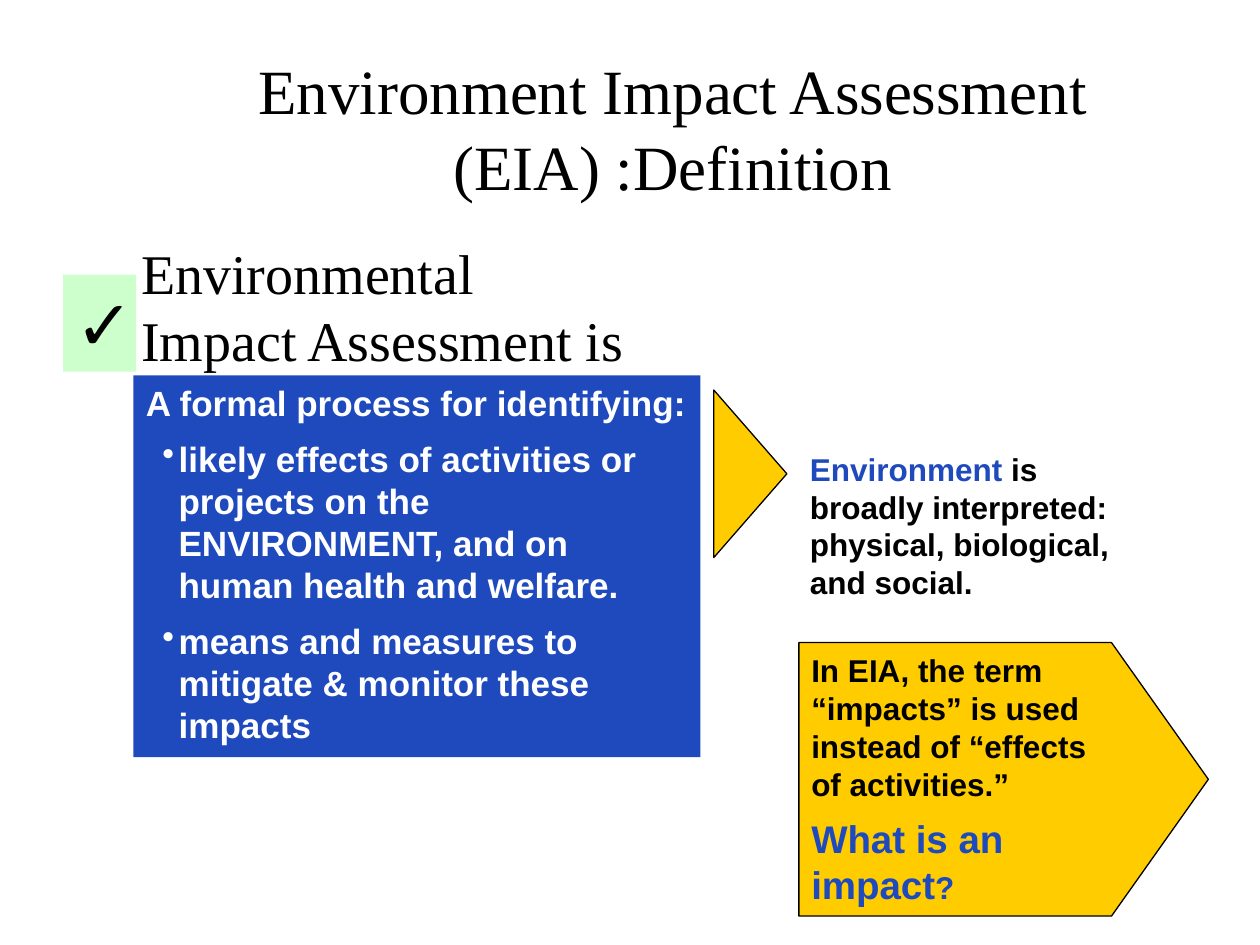
from dataclasses import dataclass

from lxml import etree
from pptx import Presentation
from pptx import util as u
from pptx.dml.color import RGBColor
from pptx.enum import shapes, text
from pptx.oxml.ns import qn


@dataclass(frozen=True)
class Theme:
    serif: str = "Times New Roman"
    sans: str = "Arial"
    symbol: str = "DejaVu Sans"
    black: str = "000000"
    white: str = "FFFFFF"
    blue: str = "1E4ABD"
    gold: str = "FFCC00"
    green: str = "CCFFCC"
    title: int = 36
    lead: int = 32
    check: int = 40
    question: int = 22
    panel: int = 20
    note: int = 18
    gap: float = 0.4  # space after a paragraph, as a share of its type size


class SlideBuilder:
    def __init__(self, page, theme):
        self.page = page
        self.theme = theme

    def place(self, box, at):
        box.left, box.top, box.width, box.height = map(u.Inches, at)

    def span(self, para, words, size, color, font=None, bold=True):
        span = para.add_run()
        span.text = words
        span.font.name = font or self.theme.sans
        span.font.size = u.Pt(size)
        span.font.bold = bold
        span.font.color.rgb = RGBColor.from_string(color)

    def indent(self, para, left, first, bullet=None):
        props = para._p.get_or_add_pPr()
        props.set("marL", str(u.Inches(left)))
        props.set("indent", str(u.Inches(first)))
        if bullet:
            etree.SubElement(props, qn("a:buChar")).set("char", bullet)
        else:
            etree.SubElement(props, qn("a:buNone"))

    def paragraph(self, box, *spans, first=False, bullet=None):
        """Each span is (words, size, color)."""
        frame = box.text_frame
        para = frame.paragraphs[0] if first else frame.add_paragraph()
        para.alignment = text.PP_ALIGN.LEFT
        para.space_after = u.Pt(spans[0][1] * self.theme.gap)
        if bullet:
            para.level = 1
            self.indent(para, 0.26, -0.13, bullet)
        for words, size, color in spans:
            self.span(para, words, size, color)

    def placeholder(self, box, at, anchor):
        self.place(box, at)
        frame = box.text_frame
        frame.word_wrap = True
        frame.auto_size = text.MSO_AUTO_SIZE.NONE
        frame.vertical_anchor = anchor
        para = frame.paragraphs[0]
        para.space_before = u.Pt(0)
        return para

    def shape(self, kind, at, fill, outlined=False):
        box = self.page.shapes.add_shape(kind, *map(u.Inches, at))
        box.shadow.inherit = False
        box.fill.solid()
        box.fill.fore_color.rgb = RGBColor.from_string(fill)
        if outlined:
            box.line.color.rgb = RGBColor.from_string(self.theme.black)
            box.line.width = u.Pt(0.75)
        else:
            box.line.fill.background()
        box.text_frame.word_wrap = True
        box.text_frame.vertical_anchor = text.MSO_ANCHOR.TOP
        return box

    def arrow(self, at, shaft, head):
        """A down arrow turned to point right."""
        box = self.shape(shapes.MSO_SHAPE.DOWN_ARROW, at, self.theme.gold, True)
        box.rotation = 270
        box.adjustments[0], box.adjustments[1] = shaft, head
        return box

    def textbox(self, at):
        box = self.page.shapes.add_textbox(*map(u.Inches, at))
        box.text_frame.word_wrap = True
        box.text_frame.vertical_anchor = text.MSO_ANCHOR.MIDDLE
        return box


def main():
    deck = Presentation()
    deck.slide_width, deck.slide_height = u.Inches(10), u.Inches(7.5)
    page = deck.slides.add_slide(deck.slide_layouts[1])
    theme = Theme()
    build = SlideBuilder(page, theme)

    # Title
    para = build.placeholder(page.shapes.title, (1.09, 0.23, 8.5, 1.56),
                             text.MSO_ANCHOR.MIDDLE)
    para.alignment = text.PP_ALIGN.CENTER
    build.span(para, "Environment Impact Assessment (EIA) :Definition",
               theme.title, theme.black, theme.serif, False)

    # Lead-in
    para = build.placeholder(page.placeholders[1], (0.64, 1.84, 5.33, 0.67),
                             text.MSO_ANCHOR.TOP)
    build.indent(para, 0.38, 0)
    for number, line in enumerate(("Environmental", "Impact Assessment is")):
        if number:
            para.add_line_break()
        build.span(para, line, theme.lead, theme.black, theme.serif, False)

    # Definition panel
    panel = build.shape(shapes.MSO_SHAPE.RECTANGLE, (1.06, 2.98, 4.5, 3.03), theme.blue)
    build.paragraph(panel, ("A formal process for identifying:", theme.panel, theme.white),
                    first=True)
    for item in (
        "likely effects of activities or projects on the ENVIRONMENT, "
        "and on human health and welfare.",
        "means and measures to mitigate & monitor these impacts",
    ):
        build.paragraph(panel, (item, theme.panel, theme.white), bullet="•")

    # Check mark
    check = build.shape(shapes.MSO_SHAPE.RECTANGLE, (0.5, 2.18, 0.58, 0.77), theme.green)
    para = check.text_frame.paragraphs[0]
    para.alignment = text.PP_ALIGN.LEFT
    build.span(para, "✓", theme.check, theme.black, theme.symbol)

    # Pointer and the note on environment
    build.arrow((5.29, 3.47, 1.33, 0.58), 0.62, 1)
    note = build.textbox((6.33, 3.6, 2.67, 1.5))
    note.text_frame.margin_bottom = u.Inches(0.41)
    build.paragraph(note, ("Environment ", theme.note, theme.blue),
                    ("is broadly interpreted: physical, biological, and social.",
                     theme.note, theme.black), first=True)

    # Callout on impacts, its text set upright in the turned arrow
    callout = build.arrow((6.88, 4.56, 2.17, 3.25), 1, 0.354)
    callout.text_frame.vertical_anchor = text.MSO_ANCHOR.MIDDLE
    callout.text_frame._txBody.bodyPr.set("vert", "eaVert")
    build.paragraph(callout, ("In EIA, the term “impacts” is used instead of "
                              "“effects of activities.”", theme.note, theme.black),
                    first=True)
    build.paragraph(callout, ("What is an impact", theme.question, theme.blue),
                    ("?", theme.note, theme.blue))

    deck.save("out.pptx")


if __name__ == "__main__":
    main()
